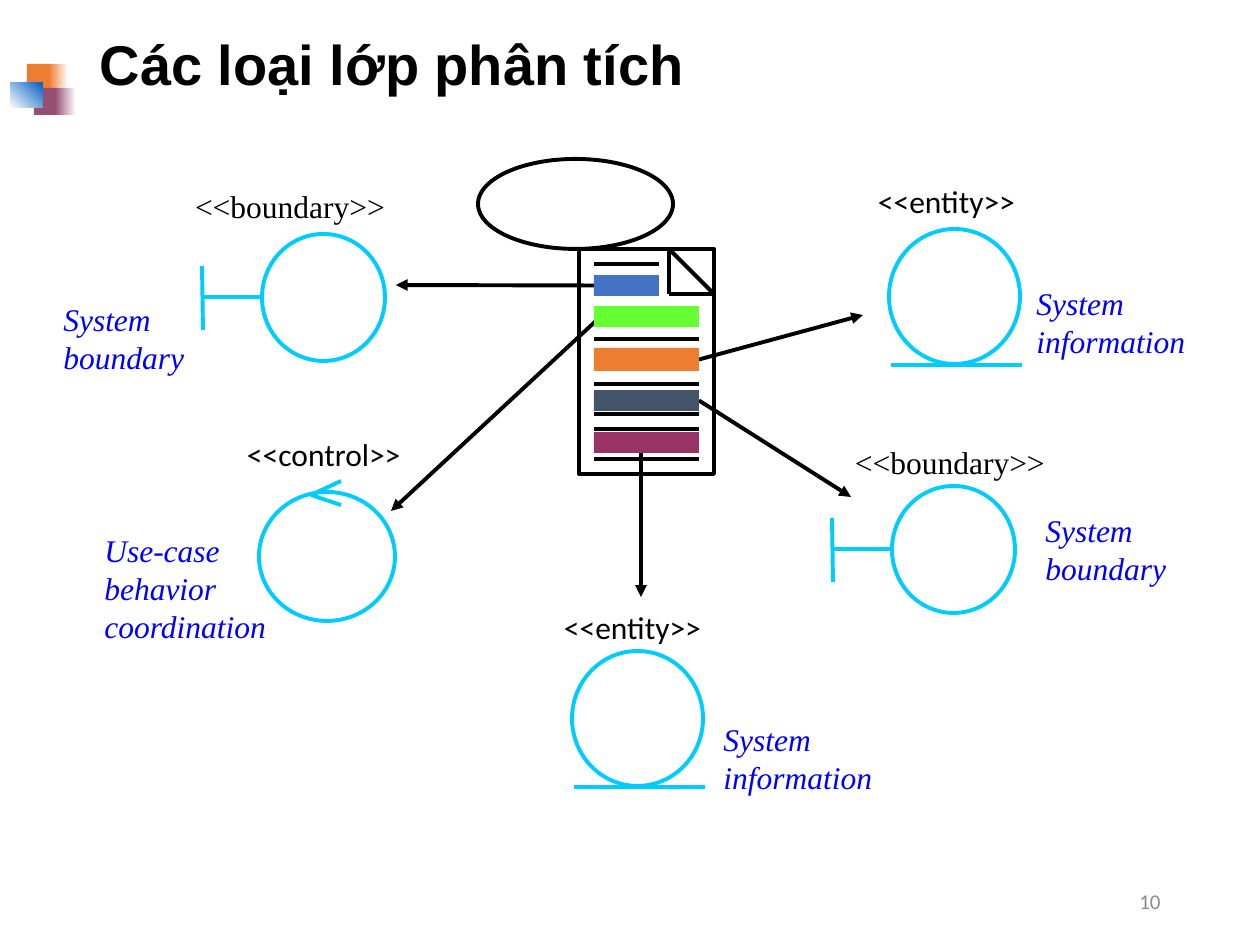
from lxml.etree import SubElement
from pptx import Presentation
from pptx.dml.color import RGBColor
from pptx.enum.shapes import MSO_CONNECTOR as Connector, MSO_SHAPE as Shape
from pptx.enum.text import MSO_ANCHOR as Anchor, MSO_AUTO_SIZE as AutoSize, PP_ALIGN as Align
from pptx.oxml.ns import qn
from pptx.util import Emu, Pt

PX = 914400 / 126

BLACK = RGBColor(0x00, 0x00, 0x00)
WHITE = RGBColor(0xFF, 0xFF, 0xFF)
GRAY = RGBColor(0x8C, 0x8C, 0x8C)
CYAN = RGBColor(0x00, 0xCC, 0xFF)
NOTE_BLUE = RGBColor(0x00, 0x00, 0xFF)
LINK_BLUE = RGBColor(0x05, 0x63, 0xC1)
BLUE = RGBColor(0x44, 0x72, 0xC4)
GREEN = RGBColor(0x66, 0xFF, 0x33)
ORANGE = RGBColor(0xED, 0x7D, 0x31)
SLATE = RGBColor(0x44, 0x54, 0x6A)
PLUM = RGBColor(0x99, 0x33, 0x66)
MAUVE = RGBColor(0x95, 0x4F, 0x72)

TITLE = {"name": "Arial", "size": Pt(32), "bold": True}
NOTE = {"name": "Times New Roman", "size": Pt(18), "italic": True}
SERIF = {"name": "Times New Roman", "size": Pt(18)}
SANS = {"name": "Calibri", "size": Pt(18)}
NUMBER = {"name": "Calibri", "size": Pt(12)}

LEFT, RIGHT = 1, 3
LINE_WIDTH = Pt(2.25)

# Left, top, width, height, start colour, end colour, angle
ORNAMENT = [
    (27, 64, 25, 28, ORANGE, None, 0),
    (49, 64, 19, 28, ORANGE, WHITE, 0),
    (34, 88, 24, 27, MAUVE, None, 0),
    (55, 88, 21, 27, MAUVE, WHITE, 0),
    (10, 83, 33, 25, WHITE, LINK_BLUE, 45),
]

NOTES = [
    (51, 294, 179, 88, "System boundary"),
    (92, 525, 199, 126, "Use-case behavior coordination"),
    (1024, 278, 210, 88, "System information"),
    (711, 714, 210, 88, "System information"),
    (1033, 505, 179, 88, "System boundary"),
]

STEREOTYPES = [
    (180, 179, 234, "<<boundary>>", SERIF),
    (232, 427, 198, "<<control>>", SANS),
    (863, 174, 179, "<<entity>>", SANS),
    (549, 600, 179, "<<entity>>", SANS),
    (840, 435, 234, "<<boundary>>", SERIF),
]

# Bar top, width, height, colour, arrow start, arrow end, joined side
PASSAGES = [
    (275, 65, 21, BLUE, (608, 285), (396, 285), LEFT),
    (306, 105, 21, GREEN, (597, 320), (391, 511), None),
    (348, 105, 23, ORANGE, (692, 359), (863, 315), RIGHT),
    (390, 105, 21, SLATE, (692, 401), (851, 497), RIGHT),
    (432, 105, 21, PLUM, (641, 432), (641, 597), None),
]


def px(*lengths):
    return [Emu(round(length * PX)) for length in lengths]


def format_font(font, values, color):
    for attribute, value in values.items():
        setattr(font, attribute, value)
    font.color.rgb = color


def add_label(slide, box, text, style, color, **frame_values):
    label = slide.shapes.add_textbox(*px(*box))
    frame = label.text_frame
    for attribute, value in {"word_wrap": True, **frame_values}.items():
        setattr(frame, attribute, value)
    paragraph = frame.paragraphs[0]
    paragraph.text = text
    format_font(paragraph.font, style, color)
    return paragraph


def add_outline(slide, preset, box, color):
    outline = slide.shapes.add_shape(preset, *px(*box))
    outline.shadow.inherit = False
    outline.fill.background()
    outline.line.color.rgb = color
    outline.line.width = LINE_WIDTH


def add_bar(slide, box, color, fade_to=None, angle=0):
    """Add a borderless rectangle, solid or fading to a second colour."""
    bar = slide.shapes.add_shape(Shape.RECTANGLE, *px(*box))
    bar.shadow.inherit = False
    bar.line.fill.background()
    if fade_to is None:
        bar.fill.solid()
        bar.fill.fore_color.rgb = color
    else:
        bar.fill.gradient()
        bar.fill.gradient_angle = angle
        for stop, stop_color in zip(bar.fill.gradient_stops, (color, fade_to)):
            stop.color.rgb = stop_color
    return bar


def add_line(slide, start, end, color=BLACK, arrow=False):
    line = slide.shapes.add_connector(Connector.STRAIGHT, *px(*start, *end))
    line.line.color.rgb = color
    line.line.width = LINE_WIDTH
    if arrow:
        SubElement(line.line._get_or_add_ln(), qn("a:tailEnd"), type="triangle")
    SubElement(line._element.spPr, qn("a:effectLst"))
    return line


def add_entity(slide, left, top):
    add_outline(slide, Shape.OVAL, (left, top, 131, 135), CYAN)
    add_line(slide, (left + 2, top + 136), (left + 133, top + 136), CYAN)


def add_boundary(slide, left, top):
    add_outline(slide, Shape.OVAL, (left, top, 123, 127), CYAN)
    wall = left - 60
    add_line(slide, (wall, top + 32), (wall + 1, top + 96), CYAN)
    add_line(slide, (wall, top + 63), (left, top + 63), CYAN)


def add_control(slide, left, top):
    add_outline(slide, Shape.OVAL, (left, top, 136, 129), CYAN)
    for barb in (-11, 13):
        add_line(slide, (left + 82, top + barb), (left + 52, top + 3), CYAN)


def add_document(slide):
    """Add the use case with its page of text lines and marked passages."""
    add_outline(slide, Shape.OVAL, (478, 159, 195, 90), BLACK)
    add_outline(slide, Shape.RECTANGLE, (579, 249, 135, 225), BLACK)
    fold = [(669, 249), (714, 294), (669, 294)]
    for start, end in zip(fold, fold[1:] + fold[:1]):
        add_line(slide, start, end)
    for row in range(14):
        y = 264 + 15 * row
        add_line(slide, (594, y), (659 if row < 3 else 699, y))

    arrows = [add_line(slide, start, end, arrow=True)
              for *_, start, end, _ in PASSAGES]
    for arrow, (top, width, height, color, _, _, side) in zip(arrows, PASSAGES):
        bar = add_bar(slide, (594, top, width, height), color)
        if side is not None:
            arrow.begin_connect(bar, side)


def add_title(slide, text):
    title = slide.shapes.title
    title.left, title.top, title.width, title.height = px(87, 16, 1086, 102)
    title.text_frame.vertical_anchor = Anchor.MIDDLE
    paragraph = title.text_frame.paragraphs[0]
    paragraph.text = text
    paragraph.alignment = Align.LEFT
    paragraph.line_spacing = 0.9
    format_font(paragraph.font, TITLE, BLACK)


def main():
    deck = Presentation()
    deck.slide_width, deck.slide_height = px(1260, 945)
    slide = deck.slides.add_slide(deck.slide_layouts[5])

    for *box, color, fade_to, angle in ORNAMENT:
        add_bar(slide, box, color, fade_to, angle)
    add_title(slide, "Các loại lớp phân tích")
    number = add_label(slide, (890, 876, 283, 50), "10", NUMBER, GRAY,
                       vertical_anchor=Anchor.MIDDLE)
    number.alignment = Align.RIGHT

    for *box, text in NOTES:
        add_label(slide, box, text, NOTE, NOTE_BLUE,
                  auto_size=AutoSize.SHAPE_TO_FIT_TEXT)
    side, edge = px(15, 8)
    for left, top, width, text, style in STEREOTYPES:
        add_label(slide, (left, top, width, 53), text, style, BLACK,
                  word_wrap=False, auto_size=AutoSize.SHAPE_TO_FIT_TEXT,
                  margin_left=side, margin_right=side,
                  margin_top=edge, margin_bottom=edge)

    add_document(slide)
    add_entity(slide, 889, 229)
    add_control(slide, 259, 492)
    add_boundary(slide, 262, 234)
    add_entity(slide, 572, 651)
    add_boundary(slide, 892, 486)
    deck.save("out.pptx")


if __name__ == "__main__":
    main()
